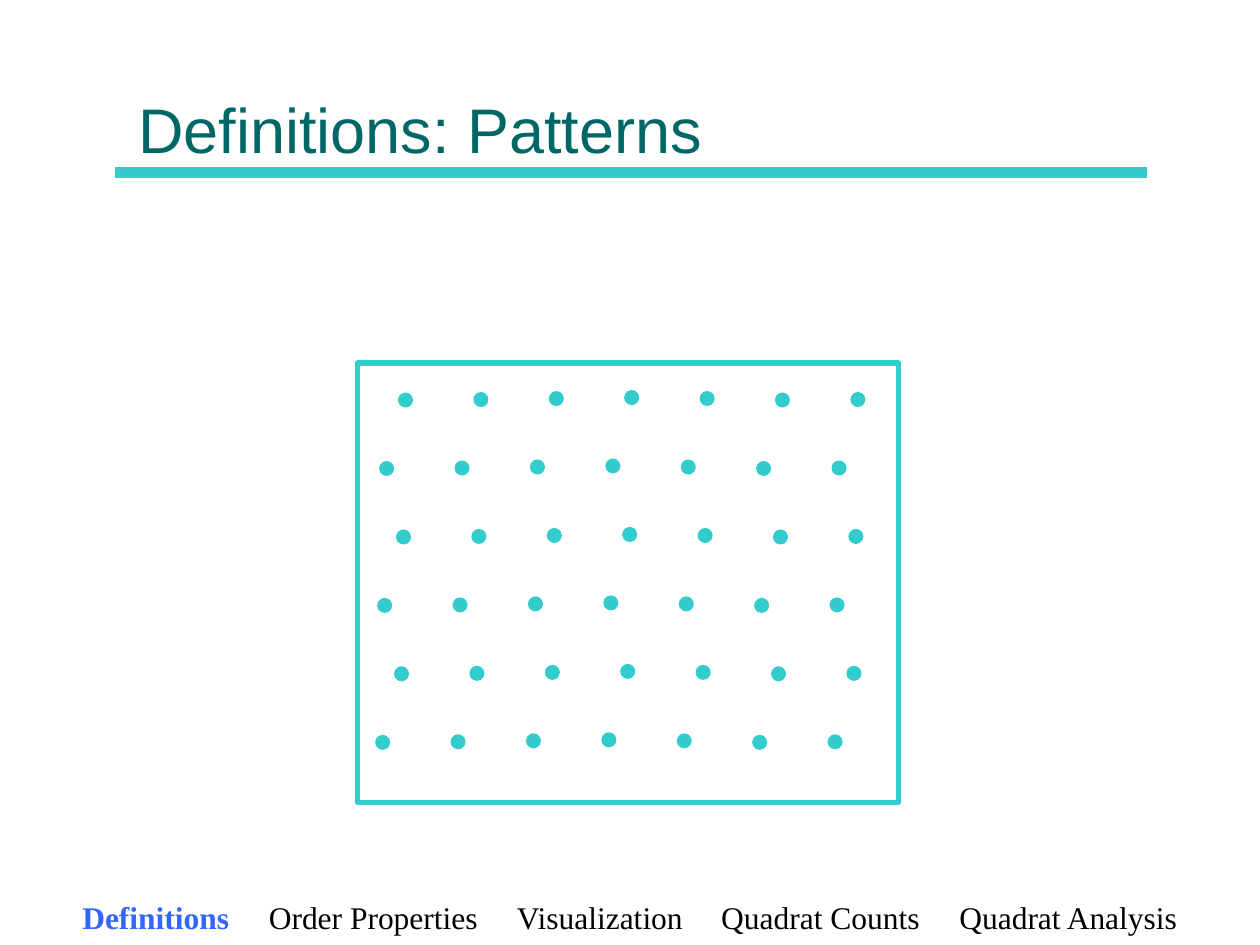
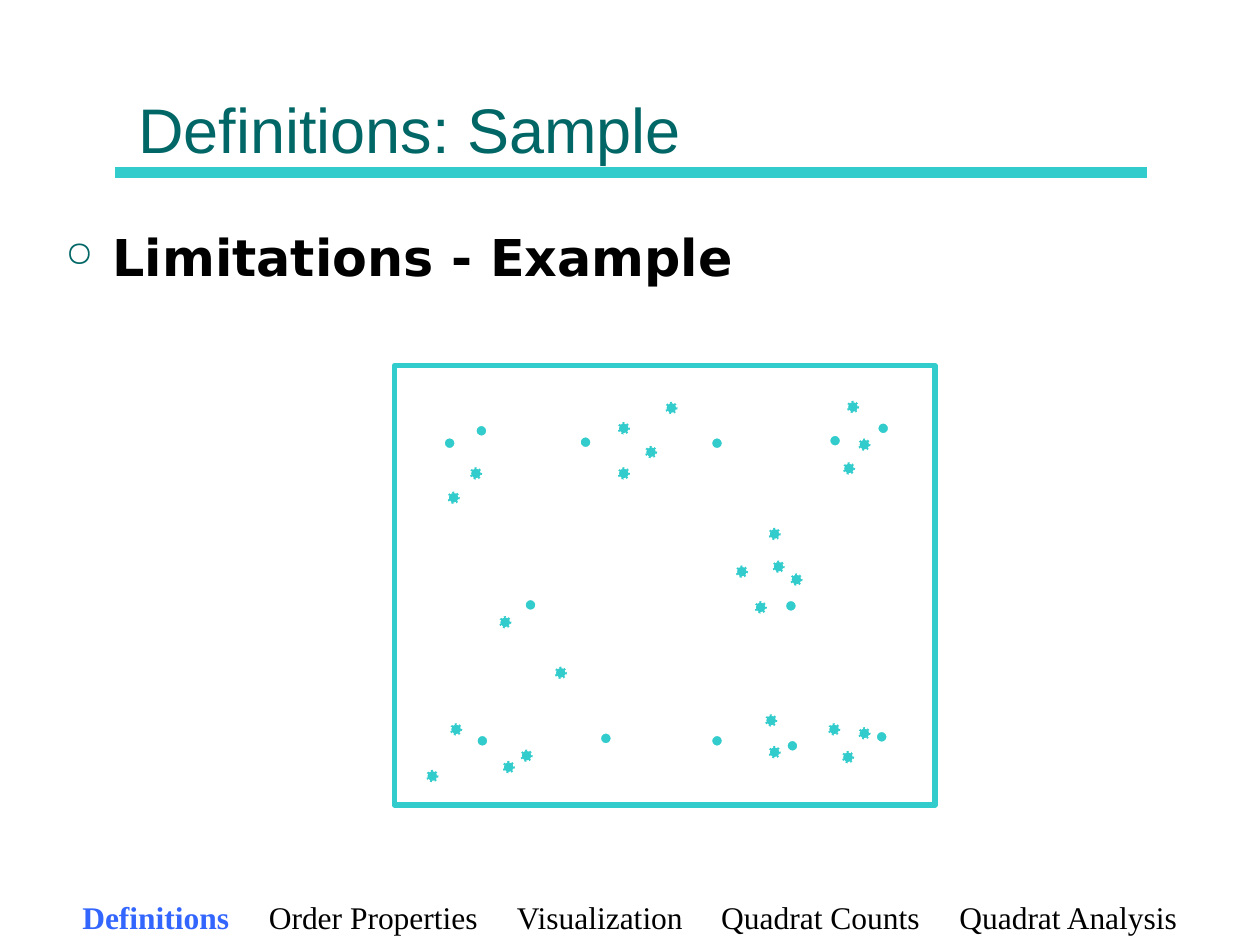
from pptx import Presentation
from pptx.dml.color import RGBColor
from pptx.enum.dml import MSO_LINE
from pptx.enum.shapes import MSO_CONNECTOR, MSO_SHAPE
from pptx.enum.text import MSO_ANCHOR
from pptx.oxml.ns import qn
from pptx.util import Cm, Pt
from lxml.etree import SubElement

TURQUOISE = RGBColor(0x33, 0xCC, 0xCC)
TEAL = RGBColor(0x00, 0x66, 0x66)
BLUE = RGBColor(0x33, 0x66, 0xFF)
BLACK = RGBColor(0x00, 0x00, 0x00)
WHITE = RGBColor(0xFF, 0xFF, 0xFF)

SECTIONS = ["Definitions", "Order Properties", "Visualization",
            "Quadrat Counts", "Quadrat Analysis"]
SECTION_STOPS = [3.76, 8.76, 12.88, 17.68]

DOT_SIZE = 0.25
GRID_ROWS = 6
COLUMN_LIFTS = [0, 0.01, 0.03, 0.05, 0.03, 0, 0.01]

SAMPLED = [
    (9.58, 8.56), (11.68, 8.79), (17.68, 8.51), (15.82, 12.09), (14.33, 8.81),
    (10.57, 12.07), (8.94, 8.81), (16.71, 8.76), (9.6, 14.81), (15.85, 14.91),
    (17.65, 14.73), (12.09, 14.76), (14.33, 14.81),
]
UNSAMPLED = [
    (15.93, 11.56), (9.47, 9.42), (14.83, 11.4), (12.45, 9.42), (10.06, 12.42),
    (15.57, 11.3), (13.41, 8.1), (12.45, 8.51), (9.02, 9.91), (13, 8.99),
    (17.07, 8.08), (15.21, 12.12), (11.18, 13.44), (15.49, 10.64), (16.99, 9.32),
    (17.3, 8.84), (10.13, 15.34), (9.07, 14.58), (10.49, 15.11), (8.59, 15.52),
    (15.49, 15.04), (16.69, 14.58), (15.42, 14.4), (16.97, 15.14), (17.3, 14.66),
]


def write(paragraph, text, *, size, font, color, bold=False):
    run = paragraph.add_run()
    run.text = text
    run.font.size = Pt(size)
    run.font.name = font
    run.font.color.rgb = color
    run.font.bold = bold


class Deck:
    def __init__(self):
        self.presentation = Presentation()
        self.presentation.slide_width = Cm(25.4)
        self.presentation.slide_height = Cm(19.05)
        self.slide = None

    def add_slide(self, title):
        self.slide = self.presentation.slides.add_slide(
            self.presentation.slide_layouts[6])
        self.rule()
        self.title(title)
        self.footer()

    def paragraph(self, left, top, width, height, anchor=MSO_ANCHOR.TOP, inset=0.25):
        box = self.slide.shapes.add_textbox(Cm(left), Cm(top), Cm(width), Cm(height))
        frame = box.text_frame
        frame.word_wrap = True
        frame.vertical_anchor = anchor
        frame.margin_left = Cm(inset)
        return frame.paragraphs[0]

    def rule(self):
        line = self.slide.shapes.add_connector(
            MSO_CONNECTOR.STRAIGHT, Cm(2.32), Cm(3.48), Cm(23.12), Cm(3.48))
        line.line.color.rgb = TURQUOISE
        line.line.width = Pt(6)
        SubElement(line._element.spPr, qn("a:effectLst"))

    def title(self, text):
        heading = self.paragraph(2.54, 0.3, 20.32, 3.18, MSO_ANCHOR.BOTTOM)
        write(heading, text, size=36, font="Arial", color=TEAL)

    def footer(self):
        trail = self.paragraph(1.02, 17.98, 23.34, 1.07, inset=0.64)
        stops = SubElement(trail._p.get_or_add_pPr(), qn("a:tabLst"))
        for position in SECTION_STOPS:
            SubElement(stops, qn("a:tab"), pos=str(Cm(position)), algn="l")
        current, *others = SECTIONS
        style = {"size": 18, "font": "Times New Roman"}
        write(trail, current, color=BLUE, bold=True, **style)
        for section in others:
            write(trail, "\t" + section, color=BLACK, **style)

    def bullet(self, text):
        point = self.paragraph(1.07, 4.42, 23.19, 11.43)
        properties = point._p.get_or_add_pPr()
        properties.set("marL", str(Cm(0.95)))
        properties.set("indent", str(Cm(-0.95)))
        tint = SubElement(properties, qn("a:buClr"))
        SubElement(tint, qn("a:srgbClr"), val=str(TEAL))
        SubElement(properties, qn("a:buSzPct"), val="70000")
        SubElement(properties, qn("a:buChar"), char="○")
        write(point, text, size=29, font="DejaVu Sans", color=BLACK, bold=True)

    def shape(self, kind, left, top, width, height, fill, outline, weight):
        shape = self.slide.shapes.add_shape(
            kind, Cm(left), Cm(top), Cm(width), Cm(height))
        shape.shadow.inherit = False
        if fill is None:
            shape.fill.background()
        else:
            shape.fill.solid()
            shape.fill.fore_color.rgb = fill
        shape.line.color.rgb = outline
        shape.line.width = Pt(weight)
        return shape

    def study_area(self, left, top):
        self.shape(MSO_SHAPE.RECTANGLE, left, top, 10.9, 8.86, None, TURQUOISE, 3)

    def dot(self, left, top, outline, dotted=False):
        dot = self.shape(MSO_SHAPE.OVAL, left, top, DOT_SIZE, DOT_SIZE,
                         TURQUOISE, outline, 1.5)
        if dotted:
            dot.line.dash_style = MSO_LINE.ROUND_DOT


def patterns_slide(deck):
    deck.add_slide("Definitions: Patterns")
    deck.study_area(7.21, 7.32)
    for row in range(GRID_ROWS):
        row_left = 8.05 - 0.02 * row - 0.36 * (row % 2)
        row_top = 7.94 + 1.38 * row
        for column, lift in enumerate(COLUMN_LIFTS):
            deck.dot(row_left + 1.52 * column, row_top - lift, TURQUOISE)


def sample_slide(deck):
    deck.add_slide("Definitions: Sample")
    deck.bullet("Limitations - Example")
    deck.study_area(7.95, 7.37)
    for left, top in SAMPLED:
        deck.dot(left, top, WHITE)
    for left, top in UNSAMPLED:
        deck.dot(left, top, WHITE, dotted=True)


def main():
    deck = Deck()
    patterns_slide(deck)
    sample_slide(deck)
    deck.presentation.save("out.pptx")


if __name__ == "__main__":
    main()
